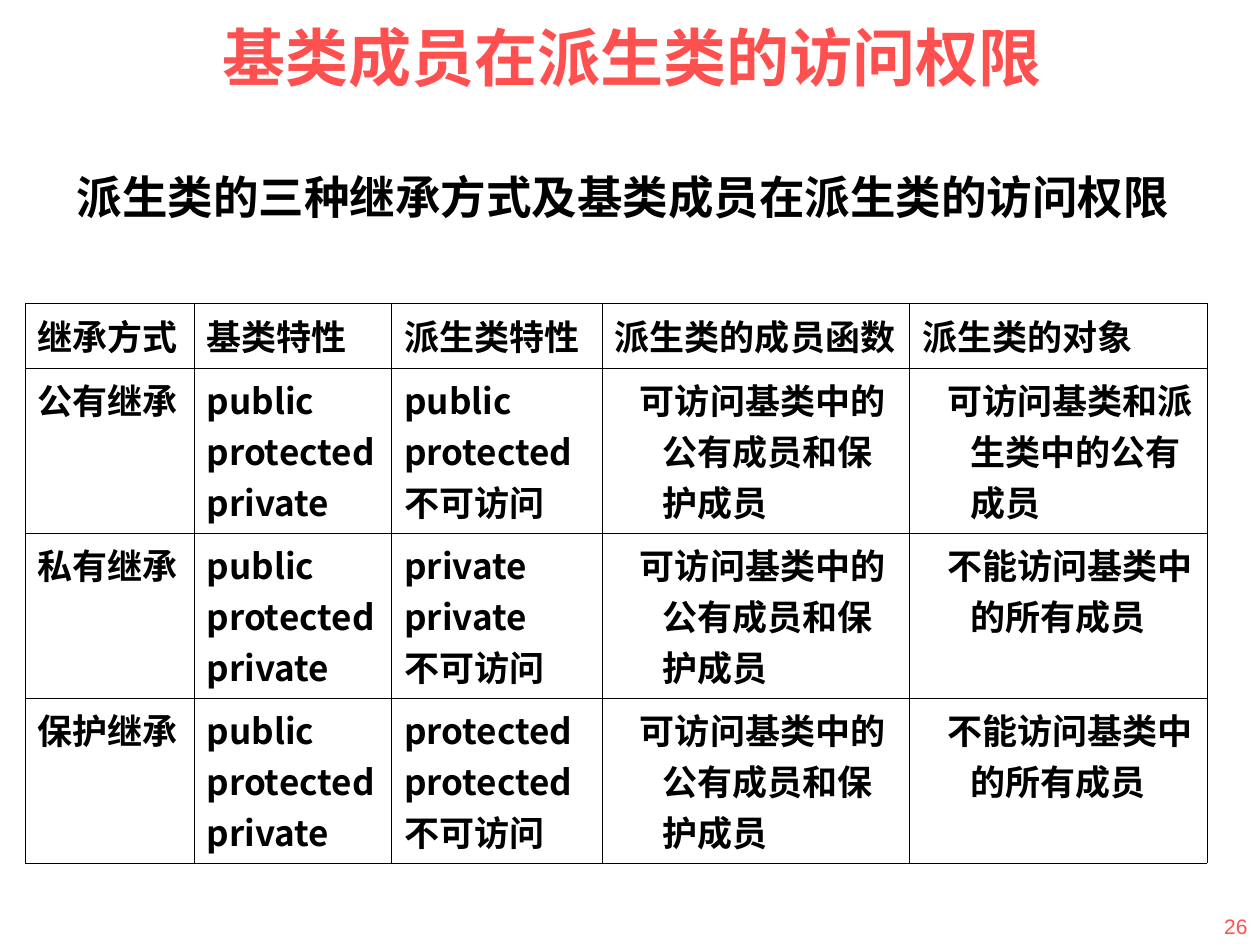
from dataclasses import dataclass

from lxml.etree import SubElement
from pptx import Presentation
from pptx.dml.color import RGBColor
from pptx.enum.text import MSO_ANCHOR, PP_ALIGN
from pptx.oxml.ns import qn
from pptx.util import Inches, Pt


@dataclass(frozen=True)
class Theme:
    """Colours, fonts and type sizes of the slide."""
    accent: RGBColor = RGBColor(0xFF, 0x50, 0x50)
    ink: RGBColor = RGBColor(0, 0, 0)
    title_font: str = "Calibri"
    body_font: str = "Arial"
    chinese_font: str = "Noto Sans CJK SC"
    title_size: int = 36
    subtitle_size: int = 26
    table_size: int = 20
    number_size: int = 12
    border_width: float = 0.45


THEME = Theme()
COLUMN_WIDTHS = (1.34, 1.57, 1.67, 2.44, 2.36)
ROW_HEIGHTS = (0.51, 1.31, 1.31, 1.31)
HANGING = 0.38
SENTENCE_START = 0.2
HEADINGS = ("继承方式", "基类特性", "派生类特性", "派生类的成员函数", "派生类的对象")
BASE_ACCESS = "public\nprotected\nprivate"
MEMBER_ACCESS = "可访问基类中的公有成员和保护成员"
NO_OBJECT_ACCESS = "不能访问基类中的所有成员"
ROWS = (
    HEADINGS,
    ("公有继承", BASE_ACCESS, "public\nprotected\n不可访问", MEMBER_ACCESS,
     "可访问基类和派生类中的公有成员"),
    ("私有继承", BASE_ACCESS, "private\nprivate\n不可访问", MEMBER_ACCESS, NO_OBJECT_ACCESS),
    ("保护继承", BASE_ACCESS, "protected\nprotected\n不可访问", MEMBER_ACCESS, NO_OBJECT_ACCESS),
)


def style_runs(para, size, color, font_name, bold=True):
    """Format every run of a paragraph, Latin and Chinese alike."""
    for span in para.runs:
        span.font.size = Pt(size)
        span.font.bold = bold
        span.font.color.rgb = color
        span.font.name = font_name
        SubElement(span.font._element, qn("a:ea"), typeface=THEME.chinese_font)


def add_text(page, text, left, top, width, height, size, color, font_name,
             align=PP_ALIGN.LEFT, anchor=MSO_ANCHOR.MIDDLE, bold=True):
    """Add a wrapped one-paragraph text box."""
    box = page.shapes.add_textbox(Inches(left), Inches(top), Inches(width), Inches(height))
    frame = box.text_frame
    frame.text = text
    frame.word_wrap = True
    frame.vertical_anchor = anchor
    para = frame.paragraphs[0]
    para.alignment = align
    style_runs(para, size, color, font_name, bold)


def set_borders(cell):
    """Draw a thin line on all four sides of a cell."""
    properties = cell._tc.get_or_add_tcPr()
    for side in ("lnL", "lnR", "lnT", "lnB"):
        line = SubElement(properties, qn(f"a:{side}"), w=str(Pt(THEME.border_width)))
        fill = SubElement(line, qn("a:solidFill"))
        SubElement(fill, qn("a:srgbClr"), val=str(THEME.ink))


def fill_cell(cell, text, first_line):
    """Write hanging paragraphs into a bordered, unfilled cell."""
    set_borders(cell)
    cell.fill.background()
    cell.text_frame.text = text
    for para in cell.text_frame.paragraphs:
        properties = para._p.get_or_add_pPr()
        properties.set("marL", str(Inches(HANGING)))
        properties.set("indent", str(Inches(first_line - HANGING)))
        style_runs(para, THEME.table_size, THEME.ink, THEME.chinese_font)


def add_access_table(page):
    """Add the table of inheritance modes and access rights."""
    table = page.shapes.add_table(
        len(ROWS), len(HEADINGS), Inches(0.2), Inches(2.41),
        Inches(sum(COLUMN_WIDTHS)), Inches(sum(ROW_HEIGHTS))).table
    table.first_row = False
    table.horz_banding = False
    for column, width in zip(table.columns, COLUMN_WIDTHS):
        column.width = Inches(width)
    for row, height in zip(table.rows, ROW_HEIGHTS):
        row.height = Inches(height)
    for row_index, texts in enumerate(ROWS):
        for column_index, text in enumerate(texts):
            is_sentence = row_index > 0 and column_index > 2
            fill_cell(table.cell(row_index, column_index), text,
                      SENTENCE_START if is_sentence else 0)


def main():
    """Build the slide and save the deck."""
    deck = Presentation()
    deck.slide_width, deck.slide_height = Inches(10), Inches(7.5)
    page = deck.slides.add_slide(deck.slide_layouts[6])
    add_text(page, "26", 8.86, 7, 1.14, 0.5, THEME.number_size, THEME.accent,
             THEME.body_font, PP_ALIGN.RIGHT, MSO_ANCHOR.BOTTOM, bold=False)
    add_text(page, "基类成员在派生类的访问权限", 1, 0, 8.03, 0.9, THEME.title_size,
             THEME.accent, THEME.title_font, PP_ALIGN.CENTER)
    add_access_table(page)
    add_text(page, "派生类的三种继承方式及基类成员在派生类的访问权限", 0.51, 1.29, 9.13, 0.54,
             THEME.subtitle_size, THEME.ink, THEME.body_font)
    deck.save("out.pptx")


if __name__ == "__main__":
    main()
